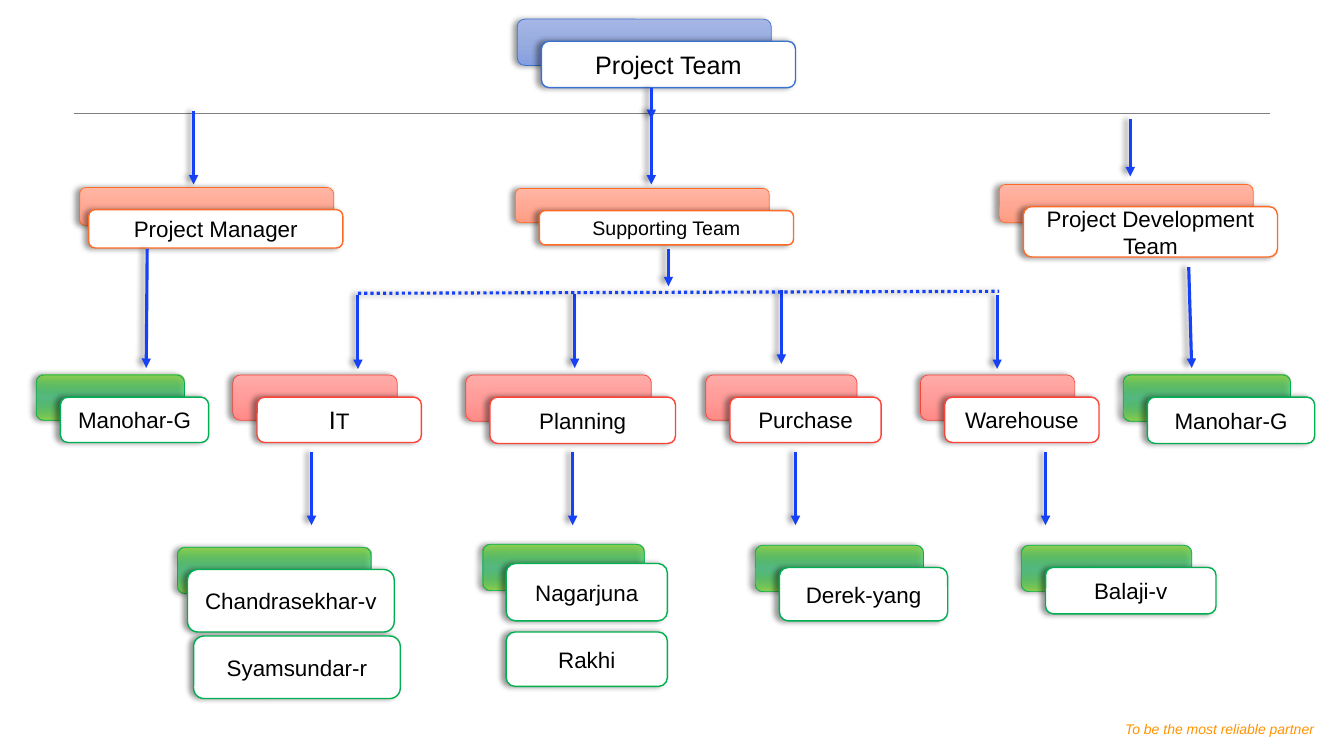
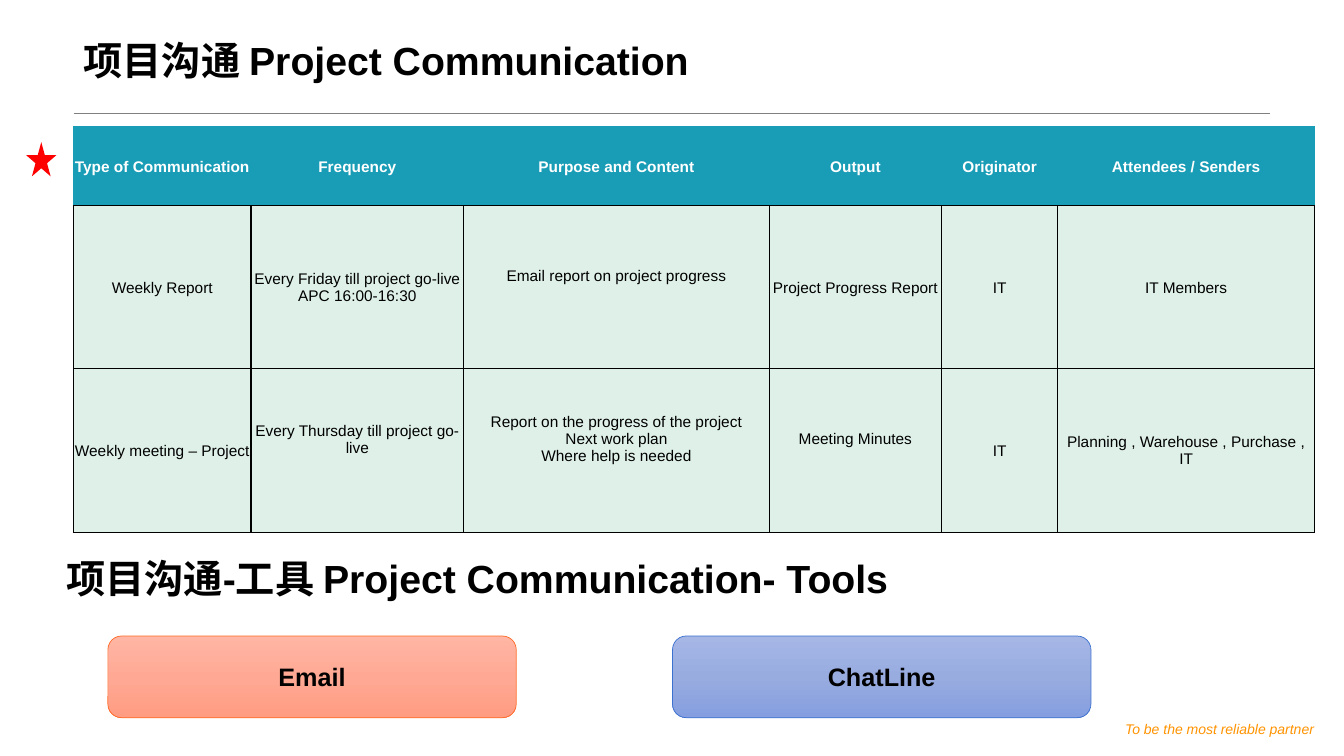
from dataclasses import dataclass

from pptx import Presentation
from pptx.dml.color import RGBColor
from pptx.enum.dml import MSO_LINE
from pptx.enum.shapes import MSO_CONNECTOR as Connector, MSO_SHAPE as Preset
from pptx.enum.text import MSO_ANCHOR as Anchor, PP_ALIGN as Align
from pptx.oxml import parse_xml
from pptx.oxml.ns import nsdecls
from pptx.util import Inches, Pt


@dataclass(frozen=True)
class Look:
    stops: tuple
    line: str
    middle_alpha: int = 100


@dataclass(frozen=True)
class Theme:
    font: str = "Arial"
    ink: str = "000000"
    paper: str = "FFFFFF"
    rule: str = "808080"
    motto: str = "FF9300"
    arrow: str = "1641F6"
    star: str = "FF0000"
    header: str = "199DB7"
    body: str = "DEF0E8"
    heading_size: int = 28
    large_size: int = 18
    card_size: int = 16
    small_size: int = 14
    table_size: int = 11
    motto_size: int = 10
    blue: Look = Look(("A6B7E6", "98ACE0", "859EE0"), "3C72CF")
    orange: Look = Look(("FFB6A4", "FFA995", "FF9C82"), "FF6A26")
    red: Look = Look(("FFABA8", "FF9C99", "FF8B87"), "FD4439")
    green: Look = Look(("92D050", "00B050", "92D050"), "00B050", 56)


theme = Theme()
SHADOW = (
    f'<a:effectLst {nsdecls("a")}><a:outerShdw blurRad="{Pt(4)}" dist="{Pt(3)}" dir="10800000">'
    '<a:srgbClr val="000000"><a:alpha val="40000"/></a:srgbClr></a:outerShdw></a:effectLst>'
)


def write(frame, runs, color=theme.ink, bold=False, italic=False, align=Align.CENTER, spacing=None):
    paragraph = frame.paragraphs[0]
    for position, (text, size) in enumerate(runs):
        for number, line in enumerate(text.split("\n")):
            if number:
                paragraph = frame.add_paragraph()
            paragraph.alignment = align
            paragraph.line_spacing = spacing
            run = paragraph.add_run()
            run.text = line
            run.font.name = theme.font
            run.font.size = Pt(size)
            run.font.bold = bold
            run.font.italic = italic
            run.font.color.rgb = RGBColor.from_string(color)


def add_card(slide, box, look, runs=(), gradient=False, shadow=True, bold=False):
    shape = slide.shapes.add_shape(Preset.ROUNDED_RECTANGLE, *map(Inches, box))
    properties = shape._element.spPr
    if gradient:
        alphas = (100, look.middle_alpha, 100)
        stops = "".join(
            f'<a:gs pos="{index * 50000}"><a:srgbClr val="{color}"><a:alpha val="{alpha * 1000}"/></a:srgbClr></a:gs>'
            for index, (color, alpha) in enumerate(zip(look.stops, alphas))
        )
        properties.insert(2, parse_xml(
            f'<a:gradFill {nsdecls("a")} rotWithShape="1"><a:gsLst>{stops}</a:gsLst>'
            '<a:lin ang="5400000" scaled="0"/></a:gradFill>'
        ))
    else:
        shape.fill.solid()
        shape.fill.fore_color.rgb = RGBColor.from_string(theme.paper)
    shape.line.color.rgb = RGBColor.from_string(look.line)
    shape.line.width = Pt(0.5 if gradient else 1)
    if shadow:
        properties.append(parse_xml(SHADOW))
    else:
        shape.shadow.inherit = False
    shape.text_frame.vertical_anchor = Anchor.MIDDLE
    write(shape.text_frame, runs, bold=bold)


presentation = Presentation()
presentation.slide_width = Inches(13.33)
presentation.slide_height = Inches(7.5)
team_slide = presentation.slides.add_slide(presentation.slide_layouts[6])
communication_slide = presentation.slides.add_slide(presentation.slide_layouts[5])

rule = team_slide.shapes.add_connector(
    Connector.STRAIGHT, Inches(0.73), Inches(1.12), Inches(12.6), Inches(1.12))
rule.line.color.rgb = RGBColor.from_string(theme.rule)
rule.line.width = Pt(0.25)
rule._element.spPr.append(parse_xml(f'<a:effectLst {nsdecls("a")}/>'))
motto = team_slide.shapes.add_textbox(Inches(11.08), Inches(7.08), Inches(2.03), Inches(0.3))
motto_frame = motto.text_frame
motto_frame.word_wrap = False
motto_frame.margin_left = motto_frame.margin_right = Inches(0.07)
motto_frame.margin_top = motto_frame.margin_bottom = Inches(0.07)
write(motto_frame, [("To be the most reliable partner", theme.motto_size)], theme.motto, italic=True)
for shape_id, shape in enumerate((rule, motto), start=20):
    shape._element._nvXxPr.cNvPr.set("id", str(shape_id))
    presentation.slide_master.shapes._spTree.append(shape._element)

cards = [
    ("Project Team", theme.blue, theme.large_size, (5.37, 0.41, 2.52, 0.46)),
    ("Project Manager", theme.orange, theme.card_size, (0.88, 2.08, 2.52, 0.38)),
    ("Supporting Team", theme.orange, theme.small_size, (5.35, 2.09, 2.52, 0.34)),
    ("Project Development Team", theme.orange, theme.card_size, (10.15, 2.05, 2.52, 0.5)),
    ("Manohar-G", theme.green, theme.card_size, (0.6, 3.94, 1.47, 0.45)),
    ("IT", theme.red, theme.card_size, (2.55, 3.94, 1.63, 0.45)),
    ("Planning", theme.red, theme.card_size, (4.86, 3.94, 1.84, 0.46)),
    ("Purchase", theme.red, theme.card_size, (7.24, 3.94, 1.5, 0.45)),
    ("Warehouse", theme.red, theme.card_size, (9.37, 3.94, 1.53, 0.45)),
    ("Manohar-G", theme.green, theme.card_size, (11.38, 3.94, 1.66, 0.46)),
    ("Chandrasekhar-v", theme.green, theme.card_size, (1.86, 5.65, 2.05, 0.62)),
    ("Nagarjuna", theme.green, theme.card_size, (5.02, 5.59, 1.6, 0.57)),
    ("Derek-yang", theme.green, theme.card_size, (7.73, 5.63, 1.67, 0.53)),
    ("Balaji-v", theme.green, theme.card_size, (10.37, 5.63, 1.69, 0.46)),
    ("Rakhi", theme.green, theme.card_size, (5.02, 6.27, 1.6, 0.54)),
    ("Syamsundar-r", theme.green, theme.card_size, (1.92, 6.31, 2.05, 0.62)),
]
special_backs = {
    "Project Manager": (0.79, 1.86, 2.52, 0.38),
    "Project Development Team": (9.91, 1.83, 2.52, 0.38),
    "Chandrasekhar-v": (1.76, 5.43, 1.92, 0.46),
    "Nagarjuna": (4.79, 5.4, 1.6, 0.46),
}
without_back = {"Rakhi", "Syamsundar-r"}
for text, look, size, box in cards:
    left, top, width, height = box
    if text not in without_back:
        back = special_backs.get(text, (left - 0.24, top - 0.22, width, min(height, 0.46)))
        add_card(team_slide, back, look, gradient=True)
    runs = [("I", theme.large_size), ("T", size)] if text == "IT" else [(text, size)]
    add_card(team_slide, box, look, runs)

arrows = [
    (6.46, 0.87, 6.46, 1.18),
    (1.46, 2.47, 1.45, 3.65),
    (11.79, 2.65, 11.82, 3.65),
    (6.63, 2.47, 6.63, 2.84),
    (11.21, 1.18, 11.21, 1.75),
]
drops = [
    (1.1, (1.92, 6.46)),
    (2.93, (3.55, 9.89)),
    (2.92, (5.7,)),
    (2.88, (7.75,)),
    (4.48, (3.09, 5.68, 7.89, 10.37)),
]
arrows += [(x, top, x, top + 0.73) for top, columns in drops for x in columns]
branch = (3.55, 2.91, 9.91, 2.89)
for ends in [*arrows, branch]:
    connector = team_slide.shapes.add_connector(Connector.STRAIGHT, *map(Inches, ends))
    connector.line.color.rgb = RGBColor.from_string(theme.arrow)
    connector.line.width = Pt(2.25)
    if ends == branch:
        connector.line.dash_style = MSO_LINE.ROUND_DOT
    else:
        connector.line._get_or_add_ln().append(parse_xml(f'<a:tailEnd {nsdecls("a")} type="triangle"/>'))
    connector._element.spPr.append(parse_xml(SHADOW))

title = communication_slide.shapes.title
title.left, title.top, title.width, title.height = map(Inches, (0.73, 0, 11.87, 0.88))
tools_heading = communication_slide.shapes.add_textbox(
    Inches(0.56), Inches(5.14), Inches(11.87), Inches(0.88))
headings = [
    (title, "项目沟通 Project Communication"),
    (tools_heading, "项目沟通-工具 Project Communication- Tools"),
]
for shape, text in headings:
    shape.text_frame.word_wrap = True
    shape.text_frame.vertical_anchor = Anchor.BOTTOM
    write(shape.text_frame, [(text, theme.heading_size)], bold=True, align=Align.LEFT, spacing=0.9)

rows = [
    ["Type of Communication", "Frequency", "Purpose and Content", "Output", "Originator", "Attendees / Senders"],
    ["Weekly Report", "Every Friday till project go-live\nAPC 16:00-16:30",
     "Email report on project progress", "Project Progress Report", "IT", "IT Members"],
    ["Weekly meeting – Project", "Every Thursday till project go-live",
     "Report on the progress of the project\nNext work plan\nWhere help is needed",
     "Meeting Minutes", "IT", "Planning , Warehouse , Purchase , IT"],
]
raised_cells = {(1, 2), (2, 1), (2, 2), (2, 3)}
table = communication_slide.shapes.add_table(
    3, 6, Inches(0.73), Inches(1.26), Inches(12.32), Inches(4.01)).table
for column, width in zip(table.columns, (1.76, 2.11, 3.03, 1.71, 1.15, 2.55)):
    column.width = Inches(width)
for row, height in zip(table.rows, (0.78, 1.62, 1.62)):
    row.height = Inches(height)
for row_index, row in enumerate(rows):
    is_header = row_index == 0
    fill = theme.header if is_header else theme.body
    for column_index, text in enumerate(row):
        cell = table.cell(row_index, column_index)
        cell.vertical_anchor = Anchor.MIDDLE
        cell.margin_left = cell.margin_right = cell.margin_top = Inches(0.01)
        cell.margin_bottom = Inches(0.23 if (row_index, column_index) in raised_cells else 0)
        cell.fill.solid()
        cell.fill.fore_color.rgb = RGBColor.from_string(fill)
        for edge_index, edge in enumerate(("lnL", "lnR", "lnT", "lnB")):
            color = theme.header if is_header and edge != "lnB" else theme.ink
            cell._tc.get_or_add_tcPr().insert(edge_index, parse_xml(
                f'<a:{edge} {nsdecls("a")} w="{Pt(1)}"><a:solidFill><a:srgbClr val="{color}"/>'
                f'</a:solidFill></a:{edge}>'
            ))
        write(cell.text_frame, [(text, theme.table_size)], theme.paper if is_header else theme.ink, is_header)

star = communication_slide.shapes.add_shape(
    Preset.STAR_5_POINT, Inches(0.26), Inches(1.41), Inches(0.3), Inches(0.34))
star.fill.solid()
star.fill.fore_color.rgb = RGBColor.from_string(theme.star)
star.line.fill.background()
star.shadow.inherit = False

tools = [
    ("Email", theme.orange, (1.07, 6.31, 4.05, 0.81)),
    ("ChatLine", theme.blue, (6.67, 6.31, 4.15, 0.81)),
]
for text, look, box in tools:
    add_card(communication_slide, box, look, [(text, theme.large_size)], gradient=True, shadow=False, bold=True)

presentation.save("out.pptx")
